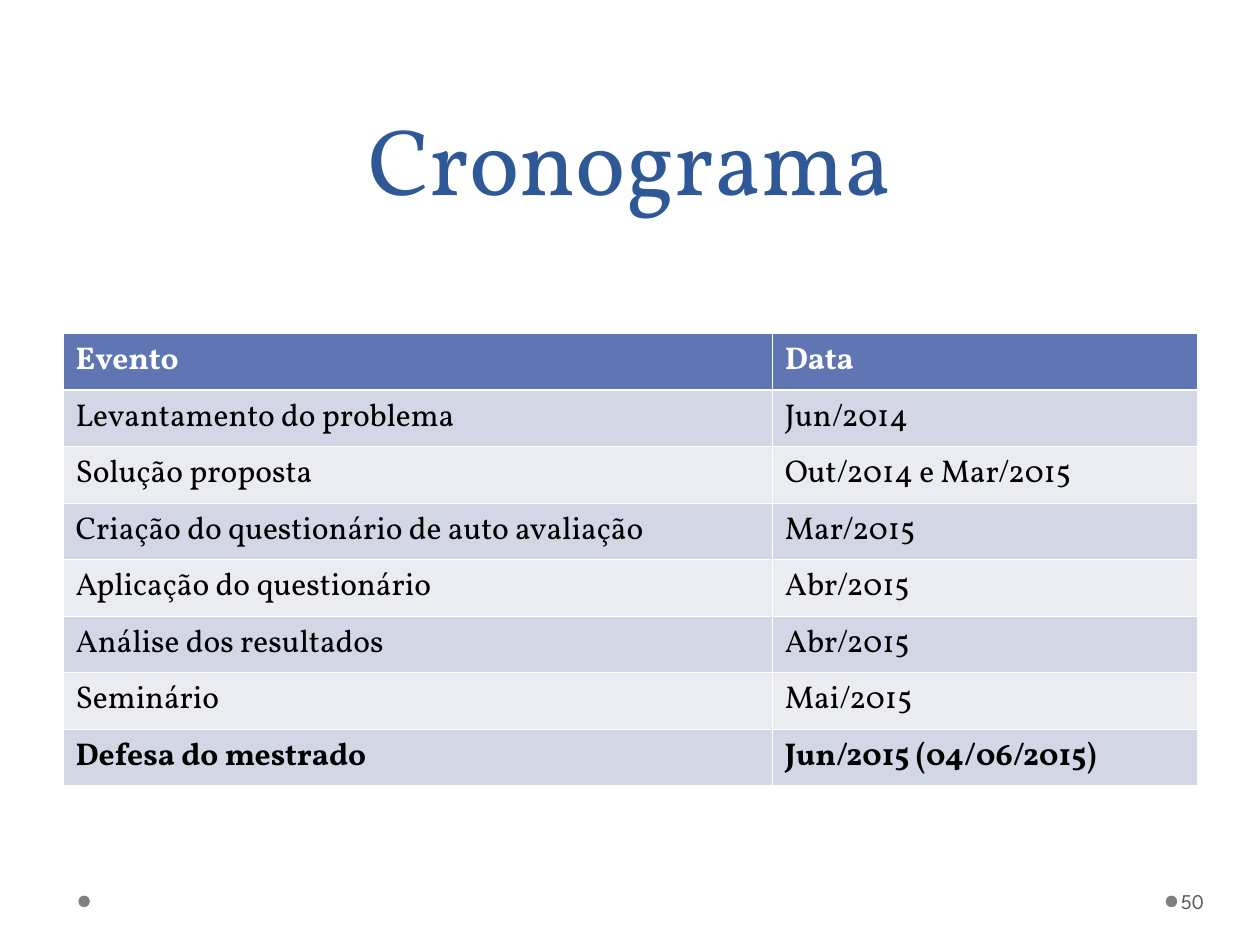
from lxml import etree
from pptx import Presentation
from pptx.dml.color import RGBColor
from pptx.enum import shapes, text
from pptx.oxml import ns
from pptx.util import Pt

SERIF = "Vollkorn"
SANS = "League Spartan"
EVENTS = [
    ("Evento", "Data"),
    ("Levantamento do problema", "Jun/2014"),
    ("Solução proposta", "Out/2014 e Mar/2015"),
    ("Criação do questionário de auto avaliação", "Mar/2015"),
    ("Aplicação do questionário", "Abr/2015"),
    ("Análise dos resultados", "Abr/2015"),
    ("Seminário", "Mai/2015"),
    ("Defesa do mestrado", "Jun/2015 (04/06/2015)"),
]


def color(value):
    return RGBColor.from_string(value)


def style(paragraph, face, size, ink, bold=False):
    for run in paragraph.runs:
        run.font.name = face
        run.font.size = Pt(size)
        run.font.bold = bold
        run.font.color.rgb = color(ink)


def add_text(slide, box, words, face, size, ink, anchor):
    label = slide.shapes.add_textbox(*map(Pt, box))
    frame = label.text_frame
    frame.word_wrap = True
    frame.vertical_anchor = anchor
    frame.text = words
    style(frame.paragraphs[0], face, size, ink)
    return frame


def add_title(slide, box):
    frame = add_text(slide, box, "Cronograma", SERIF, 54, "2F5897", text.MSO_ANCHOR.BOTTOM)
    heading = frame.paragraphs[0]
    heading.alignment = text.PP_ALIGN.CENTER
    heading.line_spacing = Pt(58)


def set_border(cell, side, width):
    line = etree.SubElement(cell._tc.get_or_add_tcPr(), ns.qn("a:ln" + side), w=str(Pt(width)))
    fill = etree.SubElement(line, ns.qn("a:solidFill"))
    etree.SubElement(fill, ns.qn("a:srgbClr"), val="FFFFFF")


def add_schedule(slide, box):
    left, top, width, height = box
    schedule = slide.shapes.add_table(len(EVENTS), 2, *map(Pt, box)).table
    event_width = 405.3
    schedule.columns[0].width = Pt(event_width)
    schedule.columns[1].width = Pt(width - event_width)
    last = len(EVENTS) - 1
    for index, event in enumerate(EVENTS):
        schedule.rows[index].height = Pt(height / len(EVENTS))
        header = index == 0
        band = "6076B4" if header else "D2D6E5" if index % 2 else "EAECF2"
        for column, words in enumerate(event):
            cell = schedule.cell(index, column)
            for side in "LRTB":
                thick = (side, index) in (("B", 0), ("T", 1))
                set_border(cell, side, 1.5 if thick else 0.45)
            cell.fill.solid()
            cell.fill.fore_color.rgb = color(band)
            cell.text_frame.text = words
            style(cell.text_frame.paragraphs[0], SERIF, 18,
                  "FFFFFF" if header else "000000", index in (0, last))


def add_footer(slide, box):
    left, top, width, height = box
    dot_size = 6.6
    for dot_left in (left, left + 621.3):
        dot = slide.shapes.add_shape(
            shapes.MSO_SHAPE.OVAL, Pt(dot_left), Pt(top + 11.4), Pt(dot_size), Pt(dot_size))
        dot.shadow.inherit = False
        dot.fill.solid()
        dot.fill.fore_color.rgb = color("7F7F7F")
        dot.line.fill.background()
    number_width = 44
    frame = add_text(slide, (left + width - number_width, top, number_width, height),
                     "50", SANS, 12, "595959", text.MSO_ANCHOR.MIDDLE)
    frame.margin_left = Pt(2.16)
    frame.margin_right = Pt(3.6)


def main():
    deck = Presentation()
    deck.slide_width, deck.slide_height = Pt(720), Pt(540)
    slide = deck.slides.add_slide(deck.slide_layouts[6])
    add_title(slide, (36, 0, 648, 126))
    add_schedule(slide, (36, 190.6, 648, 258.4))
    add_footer(slide, (44.8, 500.4, 671.9, 28.8))
    deck.save("out.pptx")


if __name__ == "__main__":
    main()
